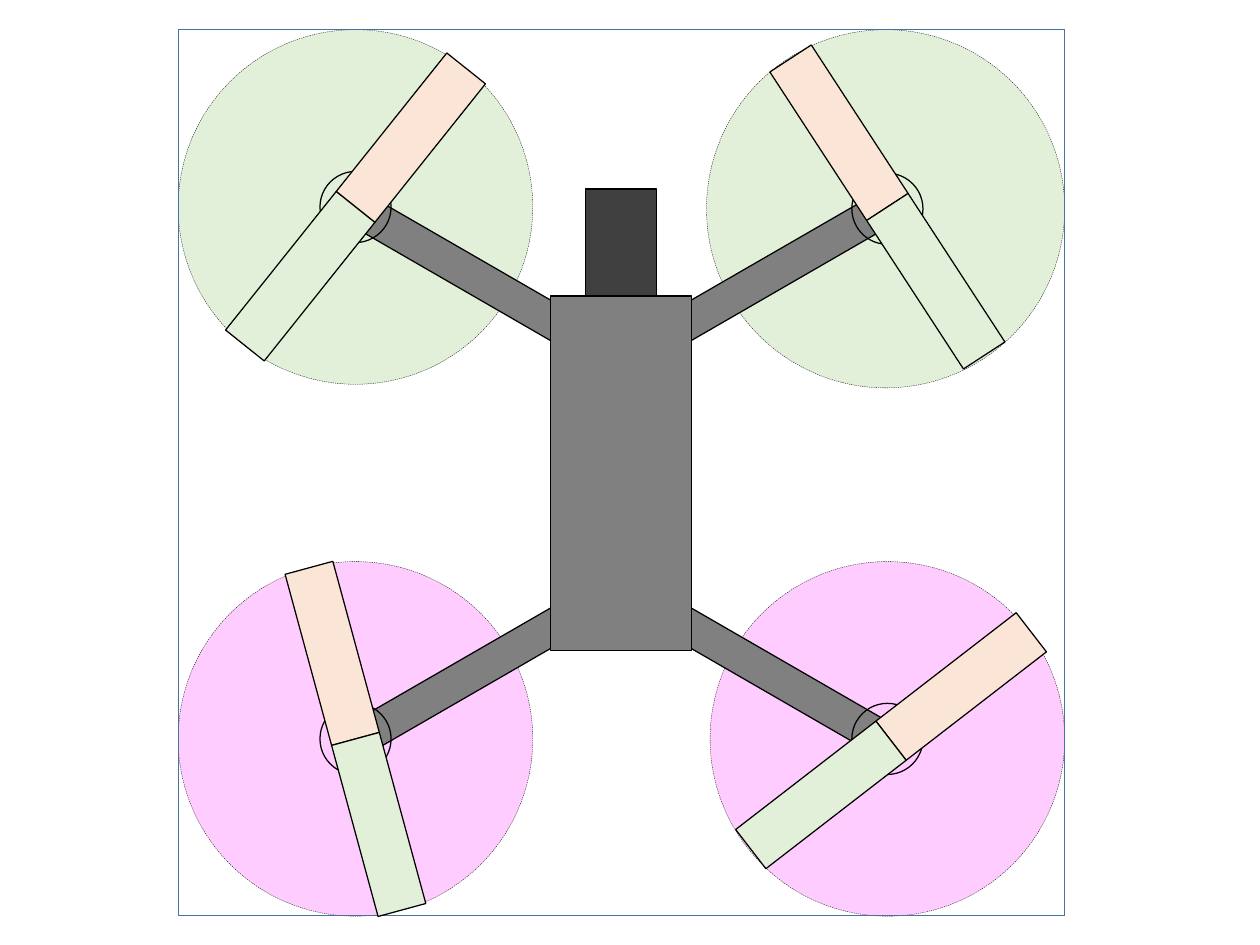
"""Top view of a quadcopter with four rotors."""
import math
from dataclasses import dataclass

import pptx
from pptx.dml.color import RGBColor
from pptx.enum.dml import MSO_LINE
from pptx.enum.shapes import MSO_SHAPE
from pptx.util import Inches, Pt


@dataclass(frozen=True)
class Theme:
    """Colours and line widths."""
    front: str = "E2F0D9"
    rear: str = "FFCCFF"
    frame: str = "808080"
    camera: str = "404040"
    tip: str = "FBE5D6"
    tail: str = "E2F0D9"
    outline: str = "000000"
    bounds: str = "43739E"
    thin: float = 0.25
    solid: float = 1


THEME = Theme()

# Disc centre, disc diameter, hub centre, propeller centre, propeller angle, colour
ROTORS = [
    ((9.86, 8.21), 3.94, (9.86, 8.21), (9.9, 8.23), 52.3, THEME.rear),
    ((3.95, 8.21), 3.94, (3.95, 8.21), (3.95, 8.21), 344.8, THEME.rear),
    ((9.84, 2.32), 3.98, (9.86, 2.32), (9.86, 2.3), 326.9, THEME.front),
    ((3.95, 2.3), 3.94, (3.95, 2.3), (3.95, 2.3), 38.6, THEME.front),
]
HUB = 0.79
BLADE_WIDTH, BLADE_LENGTH = 0.55, 1.97

# Side and end of each arm: +1 is right or bottom, -1 is left or top
ARMS = [(1, -1), (-1, -1), (1, 1), (-1, 1)]
ARM_CENTRE, ARM_OFFSET = (6.9, 5.27), (1.56, 2.16)
ARM_SIZE, ARM_ANGLE = (0.39, 3.15), 60

# Centre and size
BOUNDS = ((6.9, 5.25), (9.84, 9.84))
BODY = ((6.9, 5.26), (1.57, 3.94))
CAMERA = ((6.9, 2.69), (0.79, 1.18))


def add_part(shapes, kind, centre, size, fill=None, angle=0,
             line=THEME.outline, weight=THEME.solid, dash=None):
    """Add an outlined shape around its centre point."""
    (x, y), (width, height) = centre, size
    part = shapes.add_shape(kind, Inches(x - width / 2), Inches(y - height / 2),
                            Inches(width), Inches(height))
    part.shadow.inherit = False
    part.rotation = angle
    if fill:
        part.fill.solid()
        part.fill.fore_color.rgb = RGBColor.from_string(fill)
    else:
        part.fill.background()
    part.line.color.rgb = RGBColor.from_string(line)
    part.line.width = Pt(weight)
    if dash:
        part.line.dash_style = dash
    return part


def add_propeller(shapes, centre, angle):
    """Group two blades that meet end to end at the centre."""
    propeller = shapes.add_group_shape()
    turn = math.radians(angle)
    for reach, fill in ((BLADE_LENGTH / 2, THEME.tip), (-BLADE_LENGTH / 2, THEME.tail)):
        middle = (centre[0] + reach * math.sin(turn), centre[1] - reach * math.cos(turn))
        add_part(propeller.shapes, MSO_SHAPE.RECTANGLE, middle,
                 (BLADE_WIDTH, BLADE_LENGTH), fill, angle)


def draw_quadcopter(shapes):
    """Draw the parts from back to front."""
    for disc, diameter, _, _, _, colour in ROTORS:
        add_part(shapes, MSO_SHAPE.OVAL, disc, (diameter, diameter), colour,
                 weight=THEME.thin, dash=MSO_LINE.DASH)
    for side, end in ARMS:
        middle = (ARM_CENTRE[0] + side * ARM_OFFSET[0], ARM_CENTRE[1] + end * ARM_OFFSET[1])
        add_part(shapes, MSO_SHAPE.RECTANGLE, middle, ARM_SIZE, THEME.frame,
                 -side * end * ARM_ANGLE % 360)
    add_part(shapes, MSO_SHAPE.RECTANGLE, *BOUNDS, line=THEME.bounds,
             weight=THEME.thin, dash=MSO_LINE.ROUND_DOT)
    add_part(shapes, MSO_SHAPE.RECTANGLE, *BODY, THEME.frame)
    for _, _, hub, _, _, _ in ROTORS:
        add_part(shapes, MSO_SHAPE.OVAL, hub, (HUB, HUB))
    for _, _, _, centre, angle, _ in ROTORS:
        add_propeller(shapes, centre, angle)
    add_part(shapes, MSO_SHAPE.RECTANGLE, *CAMERA, THEME.camera)


deck = pptx.Presentation()
deck.slide_width, deck.slide_height = Inches(14), Inches(10.5)
page = deck.slides.add_slide(deck.slide_layouts[6])
draw_quadcopter(page.shapes)
deck.save("out.pptx")
